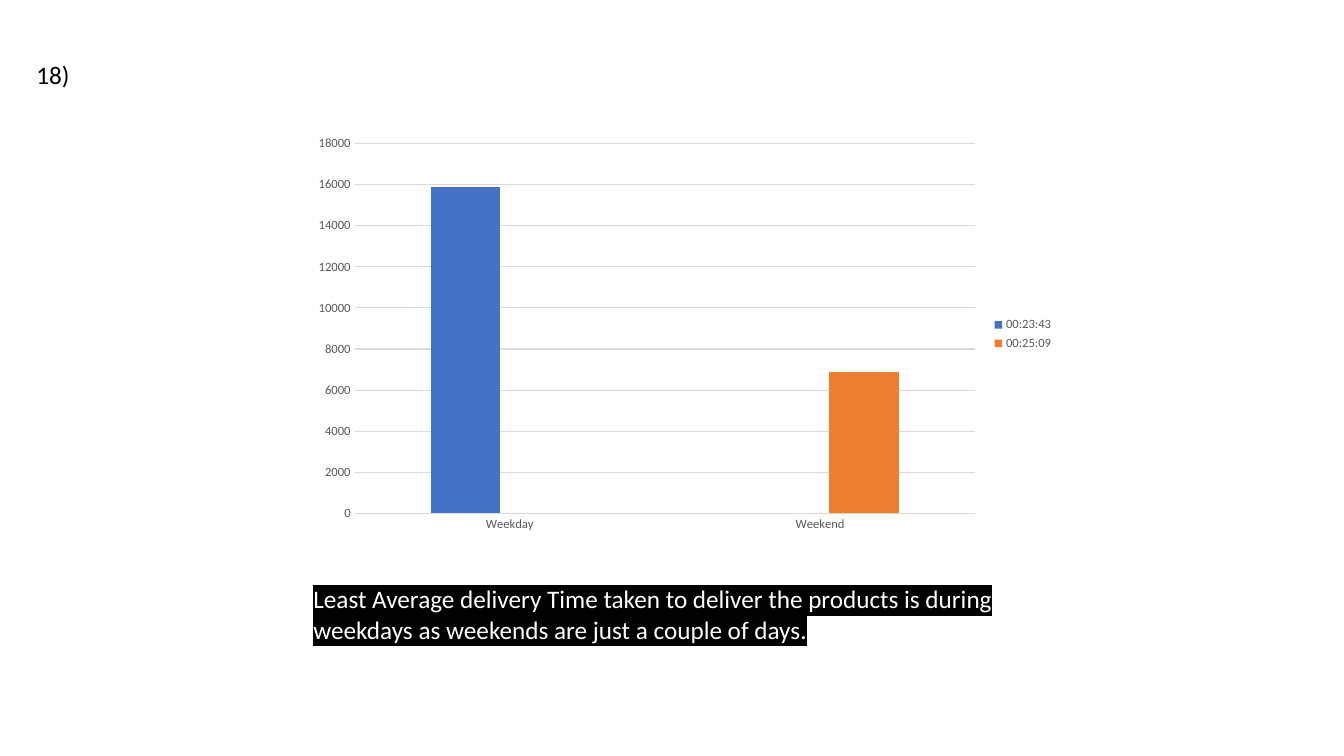
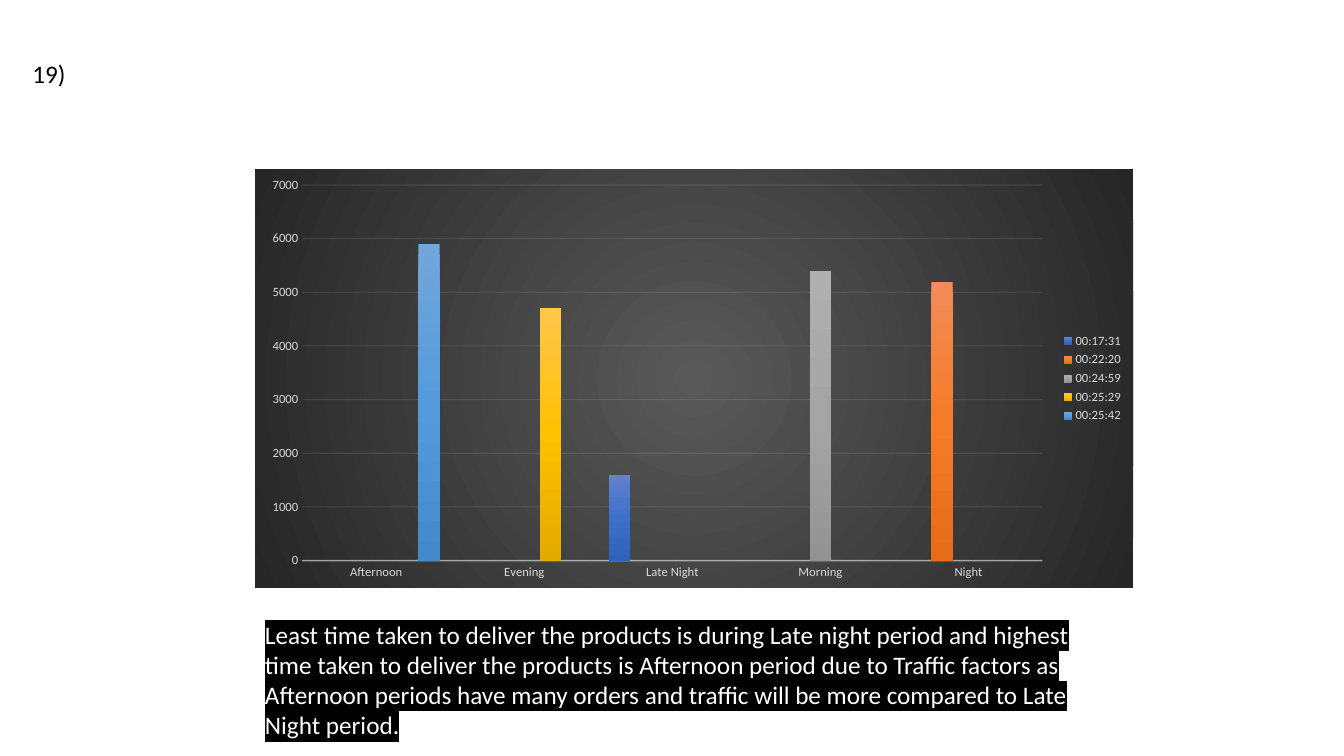
"""Build two slides that chart orders against average delivery time."""
from dataclasses import dataclass
from typing import Optional

from lxml.etree import SubElement
from pptx import Presentation
from pptx.chart.data import CategoryChartData as Data
from pptx.dml.color import RGBColor as RGB
from pptx.enum.chart import XL_CHART_TYPE as Kind, XL_LEGEND_POSITION as Side
from pptx.enum.chart import XL_TICK_MARK as Tick
from pptx.enum.text import MSO_ANCHOR as Anchor, MSO_AUTO_SIZE as Auto, PP_ALIGN as Align
from pptx.oxml import parse_xml
from pptx.oxml.ns import nsdecls, qn
from pptx.util import Inches, Pt

Box = tuple[float, float, float, float]


@dataclass(frozen=True)
class Theme:
    font: str = "Calibri"
    body: int = 18
    label: int = 9
    ink: str = "000000"
    paper: str = "FFFFFF"


@dataclass(frozen=True)
class Look:
    text: str
    rule: str
    width: float
    base: int
    grid: int
    gap: int
    lap: int
    back: tuple[str, ...] = ()


@dataclass(frozen=True)
class Bar:
    time: str
    place: int
    count: int
    fill: tuple[str, ...]


@dataclass(frozen=True)
class Page:
    mark: str
    spot: Box
    note: str
    area: Box
    plot: Box
    cats: tuple[str, ...]
    bars: tuple[Bar, ...]
    top: int
    step: int
    look: Look


THEME = Theme()
LIGHT = Look("595959", "D9D9D9", 0.75, 100, 100, 219, -27)
DARK = Look("D9D9D9", "F2F2F2", 1, 54, 10, 100, -24, ("595959", "262626"))

PAGES = (
    Page(
        "18)", (0.26, 0.54, 0.54, 0.4),
        "Least Average delivery Time taken to deliver the products is during "
        "weekdays as weekends are just a couple of days.",
        (3.01, 5.74, 7.17, 0.71), (3.01, 1.27, 7.54, 4.09),
        ("Weekday", "Weekend"),
        (Bar("00:23:43", 0, 15900, ("4472C4",)),
         Bar("00:25:09", 1, 6900, ("ED7D31",))),
        18000, 2000, LIGHT,
    ),
    Page(
        "19)", (0.22, 0.53, 0.6, 0.4),
        "Least time taken to deliver the products is during Late night period "
        "and highest time taken to deliver the products is Afternoon period due "
        "to Traffic factors as Afternoon periods have many orders and traffic "
        "will be more compared to Late Night period.",
        (2.53, 6.09, 8.63, 1.31), (2.53, 1.68, 8.71, 4.15),
        ("Afternoon", "Evening", "Late Night", "Morning", "Night"),
        (Bar("00:17:31", 2, 1600, ("6183CB", "3E70CA", "3062BB")),
         Bar("00:22:20", 4, 5200, ("F18C57", "F67B28", "E56C19")),
         Bar("00:24:59", 3, 5400, ("AFAFAF", "A5A5A5", "939393")),
         Bar("00:25:29", 1, 4700, ("FFC64B", "FFC000", "E3AB00")),
         Bar("00:25:42", 0, 5900, ("71A6DB", "559BDB", "448ACA"))),
        7000, 1000, DARK,
    ),
)


def place(shape, box: Box) -> None:
    shape.left, shape.top, shape.width, shape.height = map(Inches, box)


def style(font, size: int, color: str) -> None:
    font.name, font.size = THEME.font, Pt(size)
    font.color.rgb = RGB.from_string(color)


def write(shape, text: str, *, size: int = THEME.body, color: str = THEME.ink,
          mark: Optional[str] = None) -> None:
    frame = shape.text_frame
    frame.word_wrap = True
    frame.auto_size = Auto.SHAPE_TO_FIT_TEXT
    frame.vertical_anchor = Anchor.TOP
    para = frame.paragraphs[0]
    para.alignment = Align.LEFT
    run = para.add_run()
    run.text = text
    style(run.font, size, color)
    if mark:
        fill = run.font._element.find(qn("a:solidFill"))
        fill.addnext(parse_xml(
            f'<a:highlight {nsdecls("a")}><a:srgbClr val="{mark}"/></a:highlight>'))


def blend(colors: tuple[str, ...], round_: bool = False):
    last = len(colors) - 1
    stops = "".join(
        f'<a:gs pos="{100000 * i // last}"><a:srgbClr val="{c}"/></a:gs>'
        for i, c in enumerate(colors))
    way = ('<a:path path="circle"><a:fillToRect l="50000" t="50000" r="50000" '
           'b="50000"/></a:path>' if round_ else '<a:lin ang="5400000" scaled="0"/>')
    return parse_xml(f'<a:gradFill {nsdecls("a")}><a:gsLst>{stops}</a:gsLst>{way}</a:gradFill>')


def stroke(line, color: str, width: float, alpha: int) -> None:
    line.width = Pt(width)
    line.color.rgb = RGB.from_string(color)
    if alpha < 100:
        tint = next(line._ln.iter(qn("a:srgbClr")))
        SubElement(tint, qn("a:alpha")).set("val", str(alpha * 1000))


def frame(chart, look: Look) -> None:
    if look.back:
        area = parse_xml(
            f'<c:spPr {nsdecls("c", "a")}><a:ln><a:noFill/></a:ln></c:spPr>')
        area.insert(0, blend(look.back, round_=True))
        chart.element.find(qn("c:chart")).addnext(area)


def scale(chart, page: Page) -> None:
    look = page.look
    base, rise = chart.category_axis, chart.value_axis
    for axis in (base, rise):
        axis.major_tick_mark = axis.minor_tick_mark = Tick.NONE
        style(axis.tick_labels.font, THEME.label, look.text)
    stroke(base.format.line, look.rule, look.width, look.base)
    rise.format.line.fill.background()
    rise.minimum_scale, rise.maximum_scale = 0, page.top
    rise.major_unit = page.step
    rise.has_major_gridlines = True
    stroke(rise.major_gridlines.format.line, look.rule, 0.75, look.grid)


def graph(slide, page: Page) -> None:
    data = Data()
    data.categories = page.cats
    for bar in page.bars:
        data.add_series(bar.time, [bar.count if i == bar.place else None
                                   for i in range(len(page.cats))])
    chart = slide.shapes.add_chart(
        Kind.COLUMN_CLUSTERED, *map(Inches, page.plot), data).chart
    look = page.look
    style(chart.font, 10, THEME.ink)
    chart.has_title = False
    frame(chart, look)
    scale(chart, page)
    chart.has_legend = True
    chart.legend.position = Side.RIGHT
    chart.legend.include_in_layout = False
    style(chart.legend.font, THEME.label, look.text)
    plot = chart.plots[0]
    plot.vary_by_categories = False
    plot.gap_width, plot.overlap = look.gap, look.lap
    for series, bar in zip(plot.series, page.bars):
        if len(bar.fill) > 1:
            series._element.get_or_add_spPr().append(blend(bar.fill))
        else:
            series.format.fill.solid()
            series.format.fill.fore_color.rgb = RGB.from_string(bar.fill[0])


def build(deck, page: Page) -> None:
    slide = deck.slides.add_slide(deck.slide_layouts[5])
    title = slide.shapes.title
    place(title, page.spot)
    write(title, page.mark)
    graph(slide, page)
    note = slide.shapes.add_textbox(*map(Inches, page.area))
    write(note, page.note, color=THEME.paper, mark=THEME.ink)


def main() -> None:
    deck = Presentation()
    deck.slide_width, deck.slide_height = Inches(13.33), Inches(7.5)
    for page in PAGES:
        build(deck, page)
    deck.save("out.pptx")


if __name__ == "__main__":
    main()
